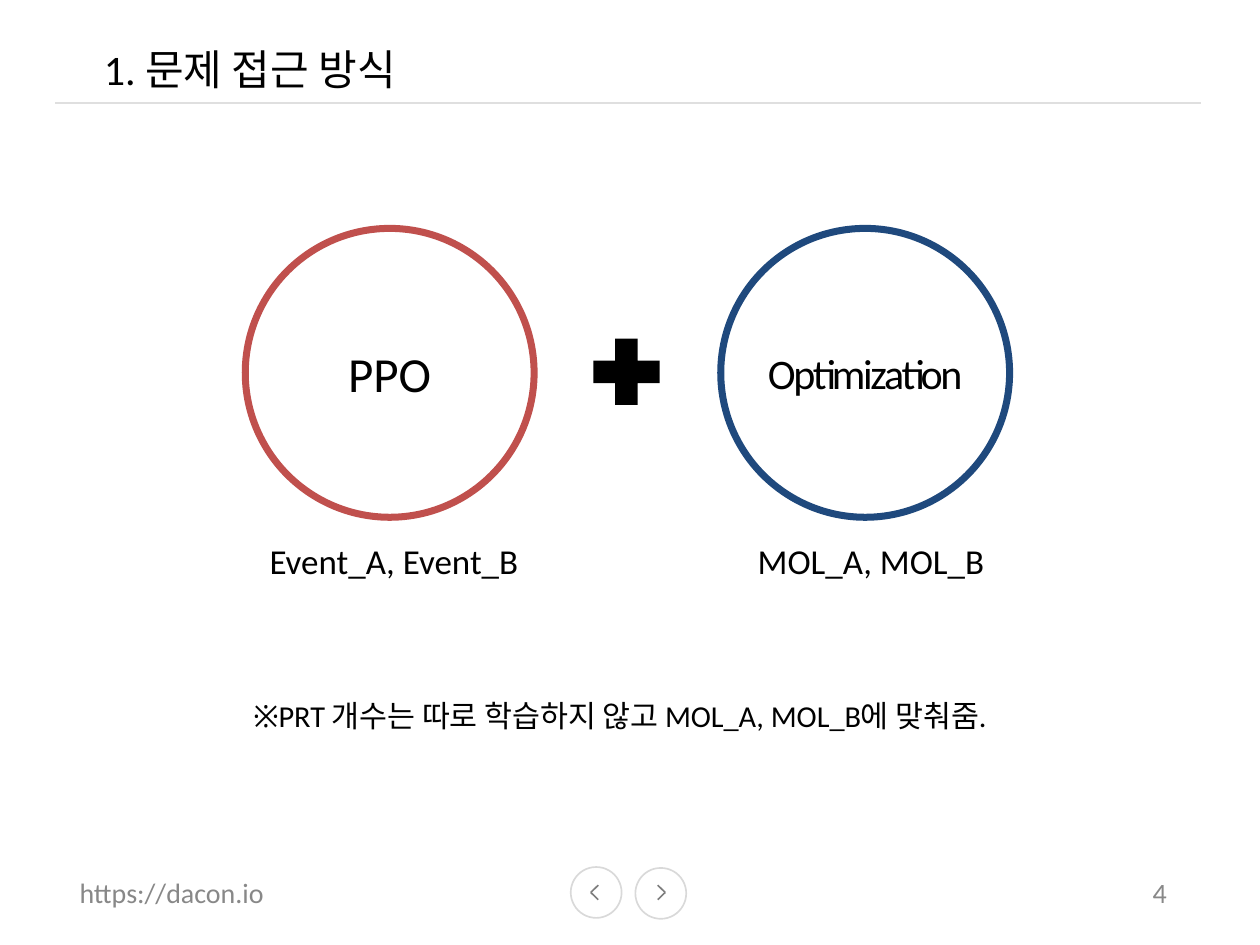
from dataclasses import dataclass
from typing import Any, NamedTuple, Optional

from lxml import etree
from pptx import Presentation
from pptx.dml.color import RGBColor
from pptx.enum.shapes import MSO_CONNECTOR, MSO_SHAPE
from pptx.enum.text import MSO_ANCHOR, MSO_AUTO_SIZE, PP_ALIGN
from pptx.oxml.ns import qn
from pptx.util import Pt

STRAIGHT = MSO_CONNECTOR.STRAIGHT
OVAL, CROSS = MSO_SHAPE.OVAL, MSO_SHAPE.CROSS
TOP, MIDDLE = MSO_ANCHOR.TOP, MSO_ANCHOR.MIDDLE
GROW = MSO_AUTO_SIZE.SHAPE_TO_FIT_TEXT
LEFT, CENTER = PP_ALIGN.LEFT, PP_ALIGN.CENTER


@dataclass(frozen=True)
class Theme:
    font: str = "Calibri"
    ink: str = "000000"
    muted: str = "888888"
    rule: str = "DFDFDF"
    ring: str = "D9D9D9"
    arrow: str = "7E7E7E"
    red: str = "C0504D"
    blue: str = "1F497D"
    title: float = 18
    method: float = 21
    label: float = 15
    note: float = 13
    footer: float = 12
    thin: float = 0.72
    thick: float = 3


THEME = Theme()


class Box(NamedTuple):
    left: float
    top: float
    width: float
    height: float


class Inset(NamedTuple):
    left: float = 7.2
    top: float = 3.6
    right: float = 7.2
    bottom: float = 3.6


@dataclass(frozen=True)
class Text:
    words: str
    size: float
    color: str = THEME.ink
    align: Any = CENTER
    anchor: Any = TOP
    wrap: bool = False
    inset: Inset = Inset()
    track: int = 0
    pitch: Optional[float] = None


@dataclass(frozen=True)
class Label:
    box: Box
    text: Text


@dataclass(frozen=True)
class Ring:
    box: Box
    color: str
    width: float
    text: Optional[Text] = None


@dataclass(frozen=True)
class Stroke:
    start: tuple[float, float]
    end: tuple[float, float]
    color: str


SIDE = 123.8
RINGS = [
    Ring(Box(105.1, 97.9, SIDE, SIDE), THEME.red, THEME.thick,
         Text("PPO", THEME.method, anchor=MIDDLE, wrap=True)),
    Ring(Box(308.9, 97.9, SIDE, SIDE), THEME.blue, THEME.thick,
         Text("Optimization", THEME.title, anchor=MIDDLE, wrap=True,
              inset=Inset(0, 3.6, 0, 3.6), track=-100)),
    Ring(Box(244.6, 371.6, 21.8, 21.8), THEME.ring, THEME.thin),
    Ring(Box(272.3, 372, 21.8, 21.8), THEME.ring, THEME.thin),
]
PLUS = Box(254.3, 145.2, 28.4, 28.4)
LABELS = [
    Label(Box(37.4, 15.1, 442.8, 28.8),
          Text("1. 문제 접근 방식", THEME.title, align=LEFT, wrap=True)),
    Label(Box(108, 227.5, 121.7, 25.2), Text("Event_A, Event_B", THEME.label)),
    Label(Box(317.5, 227.5, 111.6, 25.2), Text("MOL_A, MOL_B", THEME.label)),
    Label(Box(93.6, 295.2, 344.2, 23),
          Text("※PRT 개수는 따로 학습하지 않고 MOL_A, MOL_B에 맞춰줌.", THEME.note)),
    Label(Box(33.1, 373.7, 85.7, 14.4),
          Text("https://dacon.io", THEME.footer, THEME.muted, LEFT,
               wrap=True, inset=Inset(1, 1.7, 0, 0))),
    Label(Box(491.8, 377.3, 16.6, 11.5),
          Text("4", THEME.footer, THEME.muted, LEFT,
               wrap=True, inset=Inset(2.2, 0, 0, 0), pitch=12.4)),
]
TIPS = [(253.2, 382.5, 3.2), (285.1, 382.5, -3.2)]
STROKES = [Stroke((23.8, 44.1), (514.8, 44.1), THEME.rule)] + [
    Stroke((x, y), (x + reach, y + rise), THEME.arrow)
    for x, y, reach in TIPS for rise in (-3.1, 3.1)
]


def apply(target: Any, values: dict[str, Any]) -> None:
    for name, value in values.items():
        setattr(target, name, value)


def points(values: tuple[float, ...]) -> list[Any]:
    return [Pt(value) for value in values]


def write(shape: Any, text: Text) -> None:
    frame = shape.text_frame
    sides = {f"margin_{name}": Pt(value)
             for name, value in text.inset._asdict().items()}
    apply(frame, {"word_wrap": text.wrap, "vertical_anchor": text.anchor, **sides})
    para = frame.paragraphs[0]
    apply(para, {"alignment": text.align})
    if text.pitch:
        para.line_spacing = Pt(text.pitch)
    run = para.add_run()
    run.text = text.words
    apply(run.font, {"name": THEME.font, "size": Pt(text.size)})
    run.font.color.rgb = RGBColor.from_string(text.color)
    if text.track:
        run._r.get_or_add_rPr().set("spc", str(text.track))


def ink(line: Any, color: str, width: float) -> None:
    line.color.rgb = RGBColor.from_string(color)
    line.width = Pt(width)


def add_ring(slide: Any, ring: Ring) -> None:
    shape = slide.shapes.add_shape(OVAL, *points(ring.box))
    shape.shadow.inherit = False
    shape.fill.background()
    ink(shape.line, ring.color, ring.width)
    if ring.text:
        write(shape, ring.text)


def add_plus(slide: Any, box: Box) -> None:
    shape = slide.shapes.add_shape(CROSS, *points(box))
    shape.shadow.inherit = False
    shape.adjustments[0] = 0.33
    shape.fill.solid()
    shape.fill.fore_color.rgb = RGBColor.from_string(THEME.ink)
    shape.line.fill.background()


def add_stroke(slide: Any, stroke: Stroke) -> None:
    line = slide.shapes.add_connector(
        STRAIGHT, *points(stroke.start + stroke.end))
    ink(line.line, stroke.color, THEME.thin)
    etree.SubElement(line._element.spPr, qn("a:effectLst"))


def add_label(slide: Any, label: Label) -> None:
    shape = slide.shapes.add_textbox(*points(label.box))
    write(shape, label.text)
    shape.text_frame.auto_size = GROW


def main() -> None:
    deck = Presentation()
    apply(deck, {"slide_width": Pt(540), "slide_height": Pt(405)})
    slide = deck.slides.add_slide(deck.slide_layouts[6])
    for stroke in STROKES:
        add_stroke(slide, stroke)
    for ring in RINGS:
        add_ring(slide, ring)
    add_plus(slide, PLUS)
    for label in LABELS:
        add_label(slide, label)
    deck.save("out.pptx")


if __name__ == "__main__":
    main()
